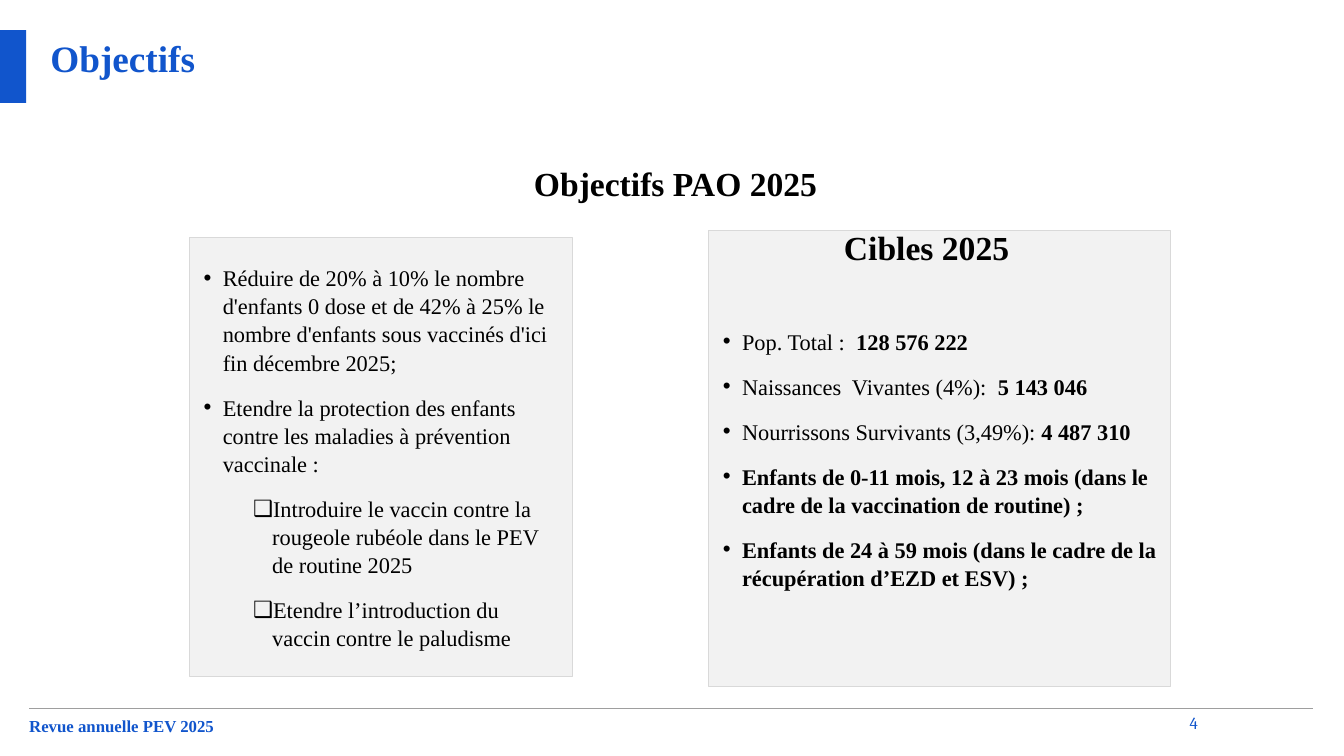
from dataclasses import dataclass

from lxml.etree import SubElement
from pptx import Presentation
from pptx.dml.color import RGBColor
from pptx.enum.shapes import MSO_CONNECTOR as Connector, MSO_SHAPE as Shape
from pptx.enum.text import MSO_ANCHOR as Anchor, MSO_AUTO_SIZE as AutoSize, PP_ALIGN as Align
from pptx.oxml.ns import qn
from pptx.util import Inches, Pt


@dataclass(frozen=True)
class Theme:
    serif: str = "Times New Roman"
    number_font: str = "Cambria"
    blue: str = "1155CC"
    black: str = "000000"
    panel: str = "F2F2F2"
    panel_edge: str = "D9D9D9"
    rule: str = "9E9E9E"
    title: float = 26.6
    heading: int = 24
    body: int = 16
    footer: int = 12


THEME = Theme()

# Each list item: level, then (text, bold) runs
OBJECTIVES = [
    (0, [("Réduire de 20% à 10% le nombre d'enfants 0 dose et de 42% à 25% le nombre "
          "d'enfants sous vaccinés d'ici fin décembre 2025;", False)]),
    (0, [("Etendre la protection des enfants contre les maladies à prévention vaccinale :", False)]),
    (1, [("Introduire le vaccin contre la rougeole rubéole dans le PEV de routine 2025", False)]),
    (1, [("Etendre l’introduction du vaccin contre le paludisme", False)]),
]
TARGETS = [
    (0, [("Pop. Total :  ", False), ("128 576 222", True)]),
    (0, [("Naissances  Vivantes (4%):  ", False), ("5 143 046", True)]),
    (0, [("Nourrissons Survivants (3,49%): ", False), ("4 487 310", True)]),
    (0, [("Enfants de 0-11 mois, 12 à 23 mois (dans le cadre de la vaccination de routine) ;", True)]),
    (0, [("Enfants de 24 à 59 mois (dans le cadre de la récupération d’EZD et ESV) ;", True)]),
]
BULLETS = [("•", 0.23), ("❑", 0.72)]  # character and left indent per level
HANGING = 0.19


def set_all(target, values):
    for name, value in values.items():
        setattr(target, name, value)


def place(part, box):
    set_all(part, dict(zip(("left", "top", "width", "height"), map(Inches, box))))


def set_frame(frame, margin=0.0, anchor=Anchor.TOP):
    set_all(frame, {"word_wrap": True, "auto_size": AutoSize.NONE, "vertical_anchor": anchor})
    set_all(frame, {f"margin_{side}": Inches(margin) for side in ("left", "top", "right", "bottom")})


def add_run(paragraph, text, size, color=THEME.black, bold=True, font=THEME.serif):
    run = paragraph.add_run()
    run.text = text
    set_all(run.font, {"name": font, "size": Pt(size), "bold": bold})
    run.font.color.rgb = RGBColor.from_string(color)


def add_label(slide, box, text, size, align=Align.LEFT, margin=0.0, anchor=Anchor.MIDDLE, **style):
    label = slide.shapes.add_textbox(*map(Inches, box))
    set_frame(label.text_frame, margin, anchor)
    paragraph = label.text_frame.paragraphs[0]
    paragraph.alignment = align
    add_run(paragraph, text, size, **style)


def add_bullet(paragraph, level):
    character, indent = BULLETS[level]
    properties = paragraph._p.get_or_add_pPr()
    properties.set("marL", str(Inches(indent)))
    properties.set("indent", str(-Inches(HANGING)))
    SubElement(properties, qn("a:buFont")).set("typeface", "Arial")
    SubElement(properties, qn("a:buChar")).set("char", character)


def build_header(slide, box):
    left, top, width, height = box
    # Title
    title = slide.shapes.title
    place(title, (left + 0.5, top + 0.05, width - 1, 0.8))
    set_frame(title.text_frame)
    paragraph = title.text_frame.paragraphs[0]
    paragraph.alignment = Align.LEFT
    add_run(paragraph, "Objectifs", THEME.title, THEME.blue)
    # Accent block at the edge
    accent = slide.shapes.add_shape(Shape.RECTANGLE, *map(Inches, (left, top, 0.26, height)))
    accent.shadow.inherit = False
    accent.fill.solid()
    accent.fill.fore_color.rgb = RGBColor.from_string(THEME.blue)
    accent.line.fill.background()


def build_panel(panel, box, items):
    place(panel, box)
    panel.fill.solid()
    panel.fill.fore_color.rgb = RGBColor.from_string(THEME.panel)
    panel.line.color.rgb = RGBColor.from_string(THEME.panel_edge)
    panel.line.width = Pt(0.75)
    frame = panel.text_frame
    set_frame(frame, 0.1, Anchor.MIDDLE)
    for index, (level, runs) in enumerate(items):
        paragraph = frame.add_paragraph() if index else frame.paragraphs[0]
        add_bullet(paragraph, level)
        set_all(paragraph, {"level": level, "alignment": Align.LEFT, "line_spacing": 1.05,
                            "space_before": Pt(6 if index else 0), "space_after": Pt(6)})
        for text, bold in runs:
            add_run(paragraph, text, THEME.body, bold=bold)


def build_footer(slide, box):
    left, top, width, _ = box
    rule = slide.shapes.add_connector(
        Connector.STRAIGHT, *map(Inches, (left, top, left + width, top)))
    rule.line.color.rgb = RGBColor.from_string(THEME.rule)
    rule.line.width = Pt(0.75)
    SubElement(rule._element.spPr, qn("a:effectLst"))
    add_label(slide, (left, top + 0.07, 10, 0.2), "Revue annuelle PEV 2025",
              THEME.footer, anchor=Anchor.TOP, color=THEME.blue)
    add_label(slide, (left + 11.32, top + 0.04, 0.27, 0.21), "4", THEME.footer,
              align=Align.RIGHT, color=THEME.blue, bold=False, font=THEME.number_font)


def build_objectives_slide(deck):
    slide = deck.slides.add_slide(deck.slide_layouts.get_by_name("Two Content"))
    objectives, targets = [part for part in slide.placeholders if part.placeholder_format.idx in (1, 2)]
    build_header(slide, (0, 0.3, 13.33, 0.72))
    # Two lists with their headings
    build_panel(objectives, (1.88, 2.36, 3.8, 4.35), OBJECTIVES)
    build_panel(targets, (7.03, 2.29, 4.58, 4.52), TARGETS)
    for box, heading in (((4.95, 1.51, 3.5, 0.62), "Objectifs PAO 2025"),
                         ((7.35, 2.13, 3.68, 0.64), "Cibles 2025")):
        add_label(slide, box, heading, THEME.heading, align=Align.CENTER, margin=0.1)
    build_footer(slide, (0.29, 7.03, 12.73, 0.3))


def main():
    deck = Presentation()
    set_all(deck, {"slide_width": Inches(13.33), "slide_height": Inches(7.5)})
    build_objectives_slide(deck)
    deck.save("out.pptx")


if __name__ == "__main__":
    main()
